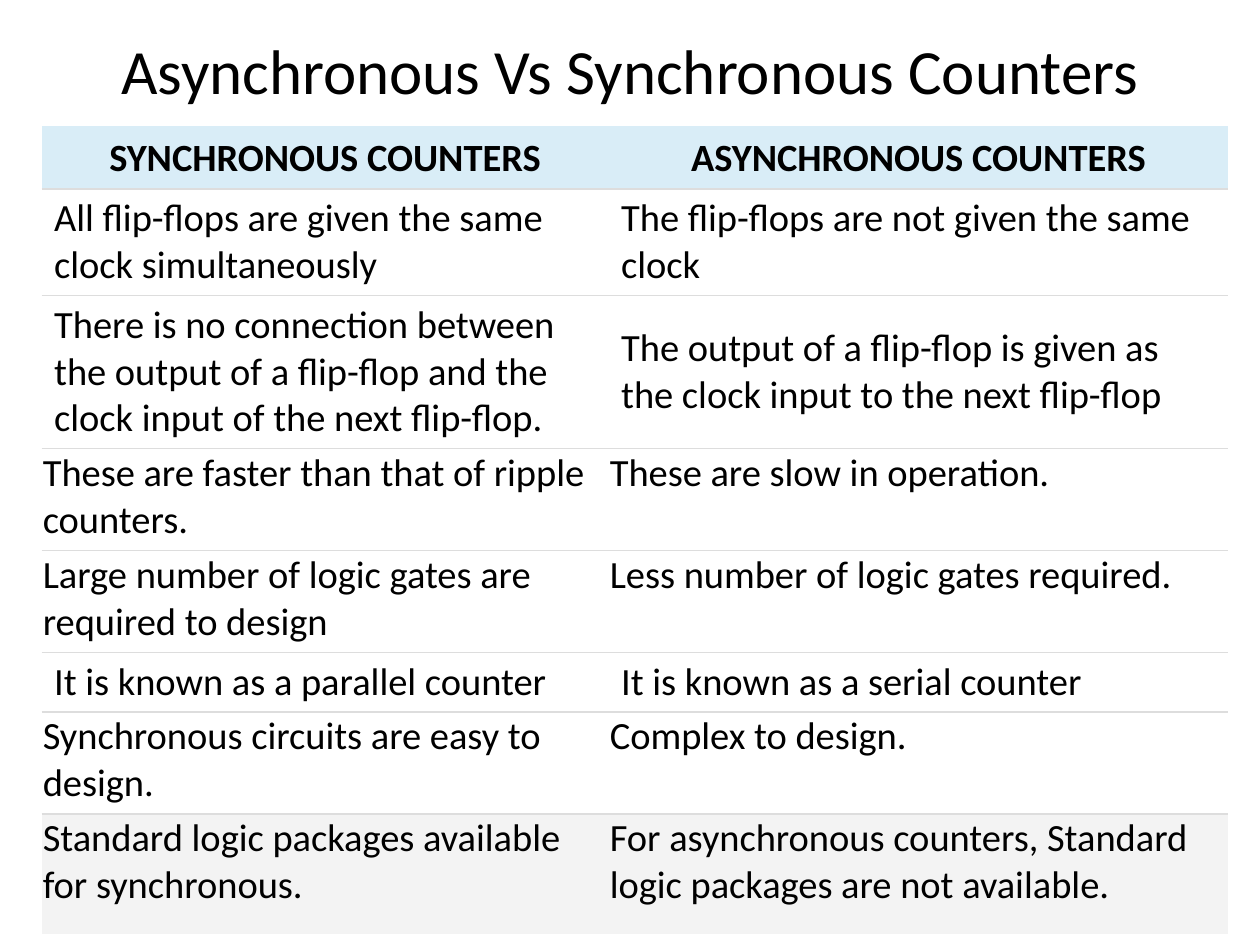
from lxml.etree import fromstring
from pptx import Presentation
from pptx.dml.color import RGBColor
from pptx.enum.text import MSO_ANCHOR as ANCHOR, PP_ALIGN as ALIGN
from pptx.oxml.ns import nsdecls, qn
from pptx.util import Inches, Pt

TITLE = "Asynchronous Vs Synchronous Counters"
ROWS = [
    ("header", 0.5, "SYNCHRONOUS COUNTERS", "ASYNCHRONOUS COUNTERS"),
    ("padded", 0.81, "All flip-flops are given the same clock simultaneously",
     "The flip-flops are not given the same clock"),
    ("padded", 0.81, "There is no connection between the output of a flip-flop and the "
     "clock input of the next flip-flop.",
     "The output of a flip-flop is given as the clock input to the next flip-flop"),
    ("tight", 0.81, "These are faster than that of ripple counters.",
     "These are slow in operation."),
    ("tight", 0.81, "Large number of logic gates are required to design",
     "Less number of logic gates required."),
    ("padded", 0.44, "It is known as a parallel counter", "It is known as a serial counter"),
    ("tight", 0.81, "Synchronous circuits are easy to design.", "Complex to design."),
    ("last", 0.95, "Standard logic packages available for synchronous.",
     "For asynchronous counters, Standard logic packages are not available."),
]
COL_WIDTHS = [4.5, 4.92]
COLORS = {"text": "000000", "header": "D9EDF7", "body": "FFFFFF", "last": "F3F3F3",
          "rule": "DDDDDD"}
TIGHT = (0.01, 0.01, 0.01, 0)
PADDED = (0.1, 0.05, 0.1, 0.05)
STYLES = {
    "header": dict(fill="header", margins=TIGHT, anchor=ANCHOR.MIDDLE, align=ALIGN.CENTER),
    "padded": dict(fill="body", margins=PADDED, anchor=ANCHOR.MIDDLE, align=ALIGN.LEFT),
    "tight": dict(fill="body", margins=TIGHT, anchor=ANCHOR.TOP, align=ALIGN.LEFT),
    "last": dict(fill="last", margins=TIGHT, anchor=ANCHOR.TOP, align=ALIGN.LEFT),
}
SIDES = ("margin_left", "margin_top", "margin_right", "margin_bottom")
NO_STYLE = "{2D5ABB26-0587-4C30-8999-92F81FD0307C}"


def rgb(name):
    """Return the named palette colour."""
    return RGBColor.from_string(COLORS[name])


def set_margins(target, margins):
    """Set the four text margins of a frame or cell."""
    for side, value in zip(SIDES, margins):
        setattr(target, side, Inches(value))


def write(p, text, size, align, bold=False):
    """Put formatted text in a paragraph."""
    p.alignment = align
    r = p.add_run()
    r.text = text
    for name, value in dict(name="Calibri", size=Pt(size), bold=bold).items():
        setattr(r.font, name, value)
    r.font.color.rgb = rgb("text")


def add_rules(cell, tags):
    """Draw thin horizontal rules on the given cell edges."""
    tcPr = cell._tc.get_or_add_tcPr()
    for i, tag in enumerate(tags):
        tcPr.insert(i, fromstring(
            f'<a:{tag} {nsdecls("a")} w="12700"><a:solidFill>'
            f'<a:srgbClr val="{COLORS["rule"]}"/></a:solidFill></a:{tag}>'))


def add_title(s):
    """Place and format the title."""
    title = s.shapes.title
    box = dict(left=0.65, top=0.25, width=8.7, height=0.63)
    for name, value in box.items():
        setattr(title, name, Inches(value))
    tf = title.text_frame
    set_margins(tf, (0, 0, 0, 0))
    tf.vertical_anchor = ANCHOR.TOP
    write(tf.paragraphs[0], TITLE, 36, ALIGN.CENTER)


def add_comparison(s):
    """Build the comparison table."""
    height = sum(row[1] for row in ROWS)
    table = s.shapes.add_table(len(ROWS), len(COL_WIDTHS), Inches(0.33), Inches(1),
                               Inches(sum(COL_WIDTHS)), Inches(height)).table
    table._tbl.tblPr.find(qn("a:tableStyleId")).text = NO_STYLE
    table.horz_banding = False
    for col, width in zip(table.columns, COL_WIDTHS):
        col.width = Inches(width)
    for i, (kind, row_height, *texts) in enumerate(ROWS):
        table.rows[i].height = Inches(row_height)
        style = STYLES[kind]
        tags = (["lnT"] if i else []) + (["lnB"] if i < len(ROWS) - 1 else [])
        for j, text in enumerate(texts):
            cell = table.cell(i, j)
            cell.fill.solid()
            cell.fill.fore_color.rgb = rgb(style["fill"])
            set_margins(cell, style["margins"])
            cell.vertical_anchor = style["anchor"]
            write(cell.text_frame.paragraphs[0], text, 22, style["align"], kind == "header")
            add_rules(cell, tags)


def main():
    """Build and save the slide."""
    prs = Presentation()
    prs.slide_width, prs.slide_height = Inches(10), Inches(7.5)
    s = prs.slides.add_slide(prs.slide_layouts[5])
    add_title(s)
    add_comparison(s)
    prs.save("out.pptx")


if __name__ == "__main__":
    main()
